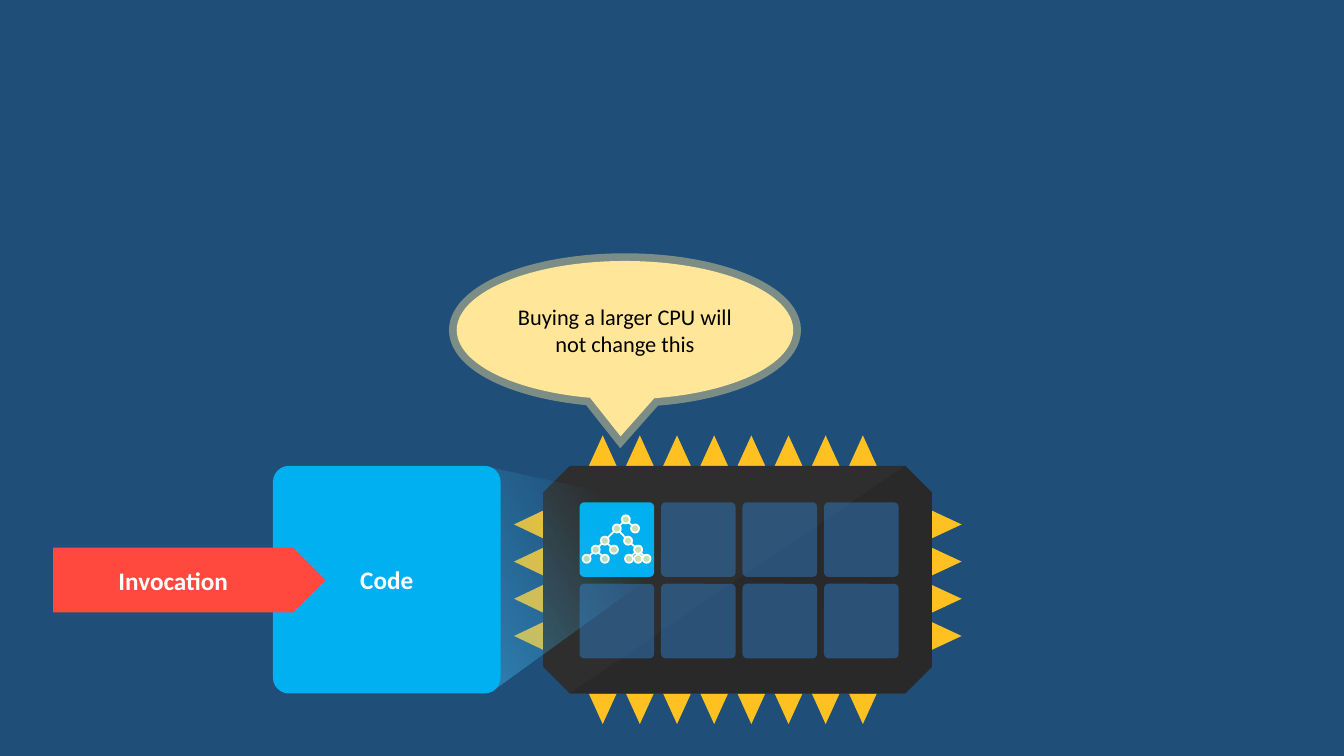
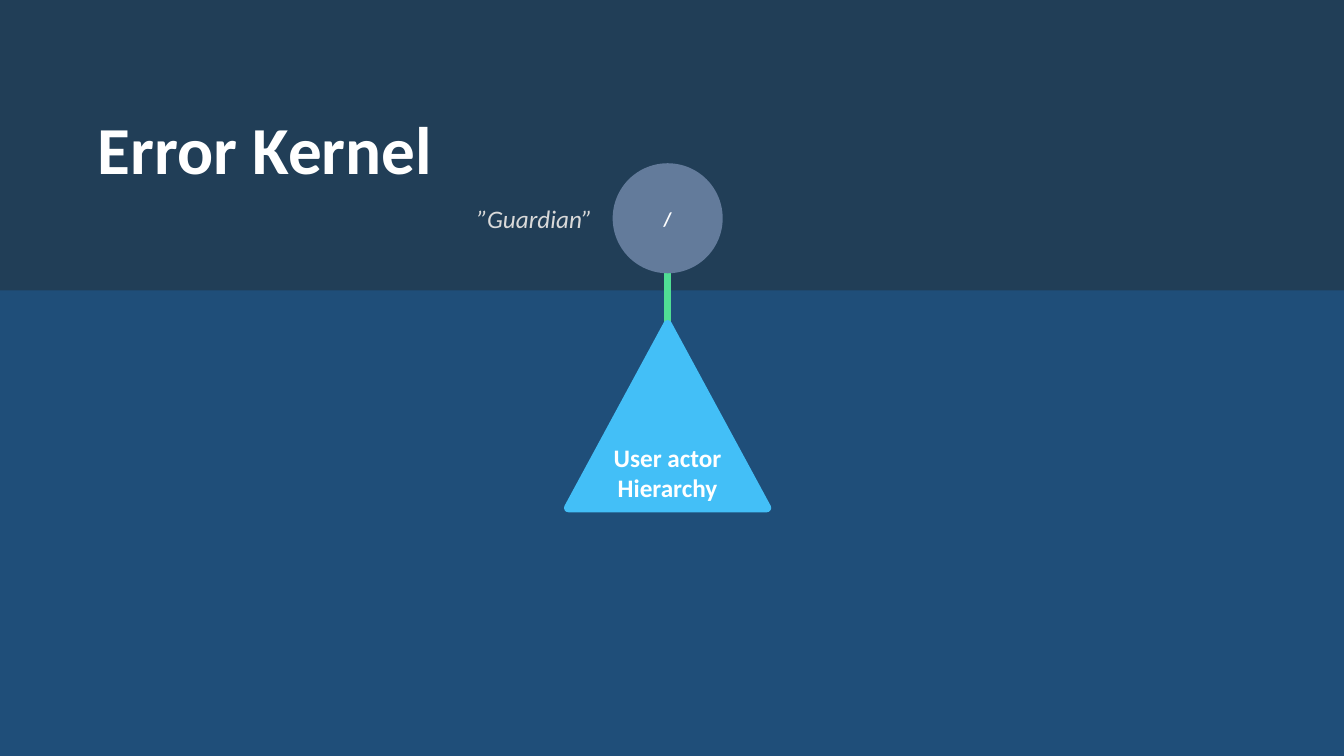
from lxml.etree import SubElement
from pptx import Presentation
from pptx.dml.color import RGBColor
from pptx.enum.shapes import MSO_CONNECTOR as Link, MSO_SHAPE as Geo
from pptx.enum.text import MSO_ANCHOR as Anchor, MSO_AUTO_SIZE as Fit, PP_ALIGN as Align
from pptx.oxml.ns import qn
from pptx.util import Pt

FONT = "Calibri"
COL = {
    "back": "1F4E79", "white": "FFFFFF", "black": "000000", "pin": "FFC021",
    "chip": "2E2E2E", "shade": "292929", "core": "2E75B6", "code": "00B0F0",
    "node": "C5E0B4", "sky": "43BFF7", "call": "FF493E", "note": "FFE699",
    "band": "262626", "link": "50DE94", "root": "637B9B", "grey": "D9D9D9",
}
WIDE, HIGH = 960, 540

# Tree nodes, relative to the core that holds them, and the edges between them
NODES = {
    "top": (33, 12.2), "l": (26.6, 18.7), "r": (39.6, 18.7),
    "ll": (18, 27.4), "lr": (34.6, 27.4),
    "lla": (11.5, 33.8), "llb": (24.5, 33.8), "lrc": (41.8, 33.8),
    "d": (5, 40.3), "e": (18, 40.3), "f": (35.3, 40.3), "g": (41.8, 40.3), "h": (47.8, 40.3),
}
EDGES = [
    ("top", "l"), ("top", "r"), ("l", "ll"), ("l", "lr"), ("ll", "lla"), ("ll", "llb"),
    ("lr", "lrc"), ("lla", "d"), ("lla", "e"), ("lrc", "f"), ("lrc", "g"), ("lrc", "h"),
]


def rgb(name):
    return RGBColor.from_string(COL[name])


def fade(color, share):
    """Set the opacity, in percent, of a colour element."""
    SubElement(color, qn("a:alpha"), val=str(share * 1000))


def paint(shape, fill, alpha=None, line=None, width=1):
    shape.shadow.inherit = False
    shape.fill.solid()
    shape.fill.fore_color.rgb = rgb(fill)
    if alpha:
        fade(shape.element.spPr.find(".//" + qn("a:srgbClr")), alpha)
    if line:
        shape.line.color.rgb = rgb(line)
        shape.line.width = Pt(width)
    else:
        shape.line.fill.background()
    return shape


def draw(slide, geo, box, fill, adj=(), **style):
    shape = slide.shapes.add_shape(geo, *map(Pt, box))
    for i, val in enumerate(adj):
        shape.adjustments[i] = val
    return paint(shape, fill, **style)


def poly(slide, dots, fill):
    start, *rest = [(Pt(x), Pt(y)) for x, y in dots]
    form = slide.shapes.build_freeform(*start)
    form.add_line_segments(rest, close=True)
    return paint(form.convert_to_shape(), fill)


def join(slide, start, end, color, width):
    line = slide.shapes.add_connector(Link.STRAIGHT, *map(Pt, (*start, *end)))
    line.line.color.rgb = rgb(color)
    line.line.width = Pt(width)
    SubElement(line.element.spPr, qn("a:effectLst"))


def write(shape, *lines, size=18, color="white", bold=False, italic=False,
          align=Align.CENTER, anchor=Anchor.MIDDLE, wrap=True):
    frame = shape.text_frame
    frame.word_wrap = wrap
    frame.auto_size = Fit.NONE
    frame.vertical_anchor = anchor
    for i, text in enumerate(lines):
        para = frame.add_paragraph() if i else frame.paragraphs[0]
        para.alignment = align
        run = para.add_run()
        run.text = text
        font = run.font
        font.name, font.size, font.bold, font.italic = FONT, Pt(size), bold, italic
        font.color.rgb = rgb(color)


def pins(slide, box):
    """Place the triangular pins around the chip's four sides."""
    x, y, w, h = box
    first, step, half, tall = 42.5, 26.55, 9.9, 21.8
    for i in range(8):
        mid = x + first + i * step
        for base, tip in ((y, y - tall), (y + h, y + h + tall)):
            poly(slide, [(mid, tip), (mid + half, base), (mid - half, base)], "pin")
    for i in range(4):
        mid = y + first - 0.7 + i * step
        for base, tip in ((x, x - tall + 1), (x + w, x + w + tall - 0.5)):
            poly(slide, [(tip, mid), (base, mid + half), (base, mid - half)], "pin")


def tree(slide, box):
    x, y = box[:2]
    spots = {name: (x + dx, y + dy) for name, (dx, dy) in NODES.items()}
    for a, b in EDGES:
        join(slide, spots[a], spots[b], "white", 1.25)
    rad = 2.9
    for cx, cy in spots.values():
        draw(slide, Geo.OVAL, (cx - rad, cy - rad, 2 * rad, 2 * rad), "node",
             line="white", width=1.25)


def chip(slide, box):
    """Draw the processor and return the box of its busy core."""
    x, y, w, h = box
    pins(slide, box)
    draw(slide, Geo.OCTAGON, box, "chip", adj=[0.117])
    cut = 0.117 * h
    poly(slide, [(x + cut, y + h), (x + w - cut, y), (x + w, y + cut),
                 (x + w, y + h - cut), (x + w - cut, y + h)], "shade")
    pad, side, step = 26, 53.3, 58.2
    cores = [(x + pad + col * step, y + pad + row * step, side, side)
             for row in range(2) for col in range(4)]
    for core in cores[1:]:
        draw(slide, Geo.ROUNDED_RECTANGLE, core, "core", adj=[0.062], alpha=55)
    draw(slide, Geo.ROUNDED_RECTANGLE, cores[0], "code", adj=[0.062])
    tree(slide, cores[0])
    return cores[0]


def beam(slide, code, core):
    """Cast a fading light from the code box onto a core."""
    x, y, w, h = code
    left, top, side, _ = core
    right, low, nip = left + side, top + side, 3
    shape = poly(slide, [(x + w - 10, y + 0.5), (right - nip, top), (right, top + nip),
                         (right, low - nip), (right - nip, low), (x + w - 7, y + h - 0.5)], "sky")
    shape.fill.gradient()
    shape.fill.gradient_angle = 30
    for stop, spot, share in zip(shape.fill.gradient_stops, (0, 0.76), (45, 0)):
        stop.position = spot
        stop.color.rgb = rgb("sky")
    for color, share in zip(shape.element.spPr.iter(qn("a:srgbClr")), (45, 0)):
        fade(color, share)


def note(slide, box, text):
    shape = draw(slide, Geo.OVAL_CALLOUT, box, "note", adj=[-0.013, 0.768],
                 line="note", width=11)
    line = shape.element.spPr.find(qn("a:ln"))
    fade(line.find(".//" + qn("a:srgbClr")), 42)
    SubElement(line, qn("a:miter"), lim="800000")
    write(shape, text, size=16, color="black")


def cpu(slide):
    code = (195, 332.8, 162.6, 162.6)
    core = chip(slide, (388, 332.8, 277.6, 162.6))
    beam(slide, code, core)
    write(draw(slide, Geo.ROUNDED_RECTANGLE, code, "code", adj=[0.07]), "Code", bold=True)
    call = draw(slide, Geo.RIGHT_ARROW, (38, 391.2, 194.6, 46.2), "call", adj=[1, 0.5])
    write(call, "Invocation", bold=True)
    note(slide, (326.2, 186.4, 240.4, 98.8), "Buying a larger CPU will not change this")


def head(slide, box, text):
    """Place the title on a dark band across the top."""
    title = slide.shapes.title
    title.left, title.top, title.width, title.height = map(Pt, box)
    write(title, text, size=48, bold=True, align=Align.LEFT, anchor=Anchor.TOP)
    band = draw(slide, Geo.RECTANGLE, (0, 0, WIDE, 207.5), "band", alpha=40)
    title.element.addprevious(band.element)


def actors(slide, mid, top):
    """Draw the guardian node above the user hierarchy, centred on mid."""
    side, gap, wide, tall = 78.6, 36.6, 141.8, 131
    low = top + side
    join(slide, (mid, low + gap), (mid, low), "link", 5)
    root = draw(slide, Geo.OVAL, (mid - side / 2, top, side, side), "root")
    write(root, "/", size=14, bold=True)
    users = draw(slide, Geo.ISOSCELES_TRIANGLE, (mid - wide / 2, low + gap, wide, tall),
                 "sky", line="sky", width=6.25)
    write(users, "User actor", "Hierarchy", bold=True, anchor=Anchor.BOTTOM, wrap=False)
    label = slide.shapes.add_textbox(*map(Pt, (mid - 143, top + 24.8, 98, 29)))
    write(label, "”Guardian”", color="grey", italic=True, align=Align.LEFT,
          anchor=Anchor.TOP, wrap=False)


def kernel(slide):
    head(slide, (62.6, 72.7, 314, 65.5), "Error Kernel")
    actors(slide, 476.9, 116.6)


def main():
    deck = Presentation()
    deck.slide_width, deck.slide_height = Pt(WIDE), Pt(HIGH)
    back = deck.slide_master.background.fill
    back.solid()
    back.fore_color.rgb = rgb("back")
    only, blank = deck.slide_layouts[5], deck.slide_layouts[6]
    cpu(deck.slides.add_slide(blank))
    kernel(deck.slides.add_slide(only))
    deck.save("out.pptx")


if __name__ == "__main__":
    main()
